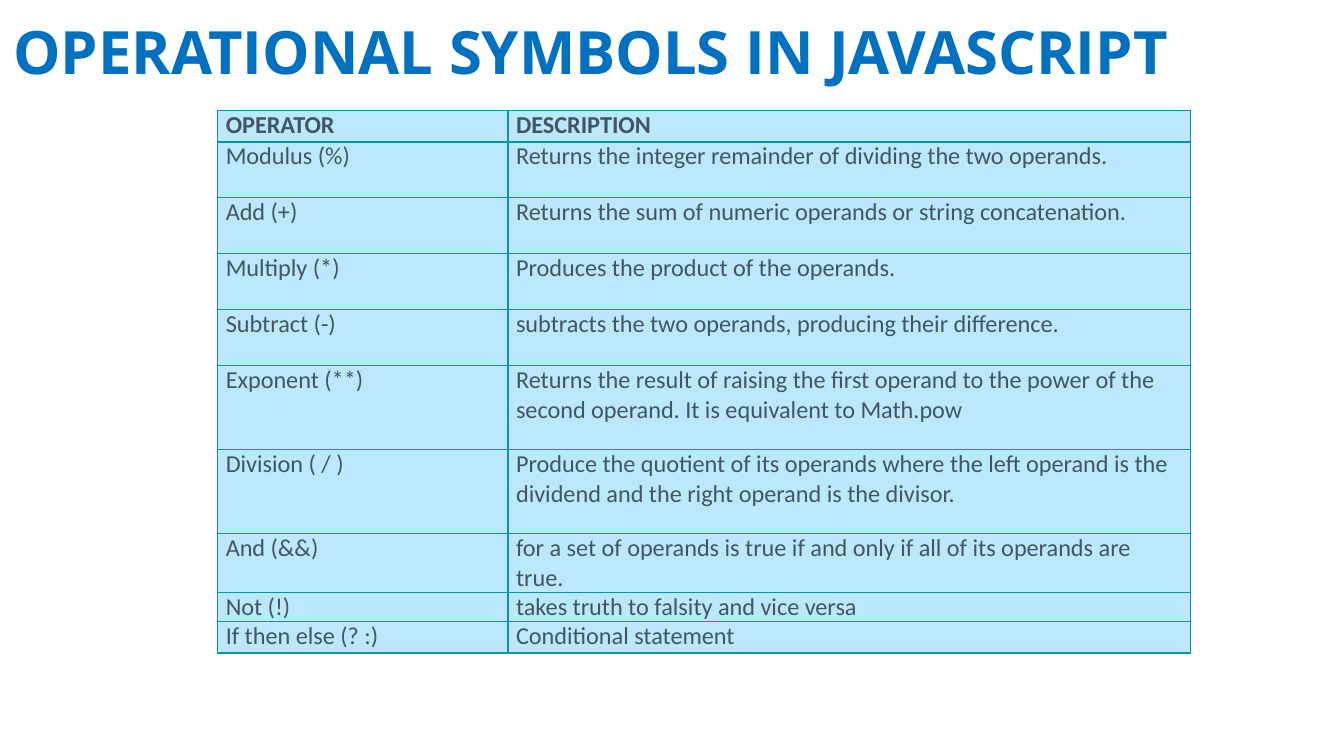
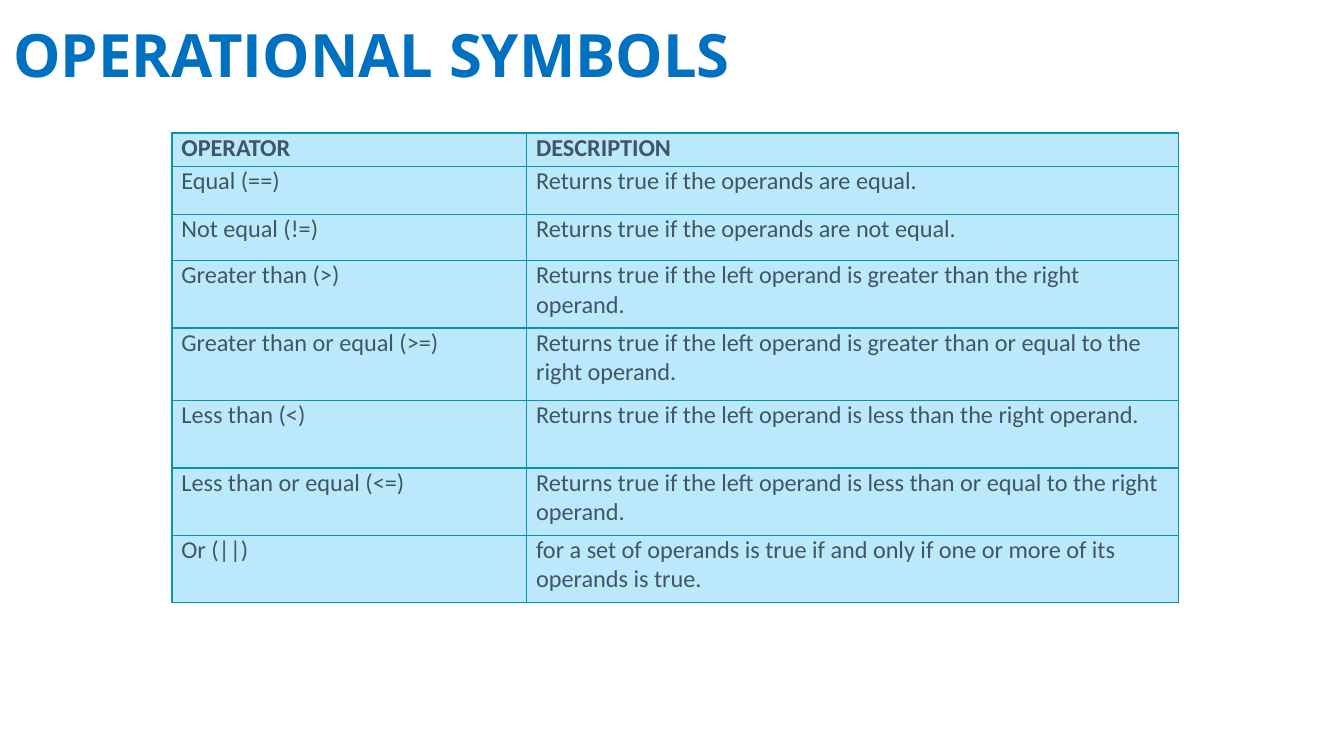
from lxml.etree import SubElement
from pptx import Presentation
from pptx.dml.color import RGBColor
from pptx.enum.text import MSO_ANCHOR
from pptx.oxml.ns import qn
from pptx.util import Inches, Pt

COLORS = {"title": "0070C0", "text": "415665", "fill": "BBE9FB", "line": "0694B0"}
HEAD = ("OPERATOR", "DESCRIPTION")
SLIDES = [
    {
        "title": "OPERATIONAL SYMBOLS IN JAVASCRIPT",
        "box": (0, 0.07, 9.33, 0.68),
        "at": (1.62, 0.82),
        "cols": (2.16, 5.08),
        "inset": 0.06,
        "head": 17,
        "rows": [
            (30, "Modulus (%)", "Returns the integer remainder of dividing the two operands."),
            (30, "Add (+)", "Returns the sum of numeric operands or string concatenation."),
            (30, "Multiply (*)", "Produces the product of the operands."),
            (30, "Subtract (-)", "subtracts the two operands, producing their difference."),
            (45, "Exponent (**)", "Returns the result of raising the first operand to the power "
             "of the second operand. It is equivalent to Math.pow"),
            (45, "Division ( / )", "Produce the quotient of its operands where the left operand "
             "is the dividend and the right operand is the divisor."),
            (30, "And (&&)", "for a set of operands is true if and only if all of its operands "
             "are true."),
            (15, "Not (!)", "takes truth to falsity and vice versa"),
            (17, "If then else (? :)", "Conditional statement"),
        ],
    },
    {
        "title": "OPERATIONAL SYMBOLS",
        "box": (0, 0.09, 9.06, 0.68),
        "at": (1.28, 0.99),
        "cols": (2.64, 4.85),
        "inset": 0.07,
        "head": 18,
        "rows": [
            (25.5, "Equal (==)", "Returns true if the operands are equal."),
            (25, "Not equal (!=)", "Returns true if the operands are not equal."),
            (36, "Greater than (>)", "Returns true if the left operand is greater than the right "
             "operand."),
            (39, "Greater than or equal (>=)", "Returns true if the left operand is greater than "
             "or equal to the right operand."),
            (36, "Less than (<)", "Returns true if the left operand is less than the right "
             "operand."),
            (36, "Less than or equal (<=)", "Returns true if the left operand is less than or "
             "equal to the right operand."),
            (36, "Or (||)", "for a set of operands is true if and only if one or more of its "
             "operands is true."),
        ],
    },
]


def style(para, face, size, color, bold):
    font = para.font
    font.name, font.size, font.bold = face, Pt(size), bold
    font.color.rgb = RGBColor.from_string(COLORS[color])


def add_title(slide, text, box):
    frame = slide.shapes.add_textbox(*map(Inches, box)).text_frame
    frame.word_wrap = True
    frame.vertical_anchor = MSO_ANCHOR.MIDDLE
    frame.margin_left = frame.margin_right = Inches(0.1)
    frame.margin_top = frame.margin_bottom = Inches(0.1)
    para = frame.paragraphs[0]
    para.text = text
    para.line_spacing = 0.9
    style(para, "Open Sans", 32, "title", True)


def add_lines(cell):
    props = cell._tc.get_or_add_tcPr()
    for side in ("lnL", "lnR", "lnT", "lnB"):
        line = SubElement(props, qn("a:" + side), w=str(Pt(0.75)))
        fill = SubElement(line, qn("a:solidFill"))
        SubElement(fill, qn("a:srgbClr"), val=COLORS["line"])


def fill_cell(cell, text, inset, bold):
    cell.margin_left = cell.margin_right = Inches(inset)
    cell.margin_top = cell.margin_bottom = 0
    add_lines(cell)
    cell.fill.solid()
    cell.fill.fore_color.rgb = RGBColor.from_string(COLORS["fill"])
    para = cell.text_frame.paragraphs[0]
    para.text = text
    style(para, "Calibri", 13, "text", bold)


def add_grid(slide, data):
    rows = [(data["head"], *HEAD)] + data["rows"]
    left, top = map(Inches, data["at"])
    wide = Inches(sum(data["cols"]))
    high = Pt(sum(row[0] for row in rows))
    table = slide.shapes.add_table(len(rows), len(HEAD), left, top, wide, high).table
    table.horz_banding = False
    for col, width in zip(table.columns, data["cols"]):
        col.width = Inches(width)
    for r, (height, *texts) in enumerate(rows):
        table.rows[r].height = Pt(height)
        for c, text in enumerate(texts):
            fill_cell(table.cell(r, c), text, data["inset"], r == 0)


def main():
    deck = Presentation()
    deck.slide_width = Inches(10)
    deck.slide_height = deck.slide_width * 9 // 16
    for data in SLIDES:
        slide = deck.slides.add_slide(deck.slide_layouts[6])
        add_title(slide, data["title"], data["box"])
        add_grid(slide, data)
    deck.save("out.pptx")


if __name__ == "__main__":
    main()
